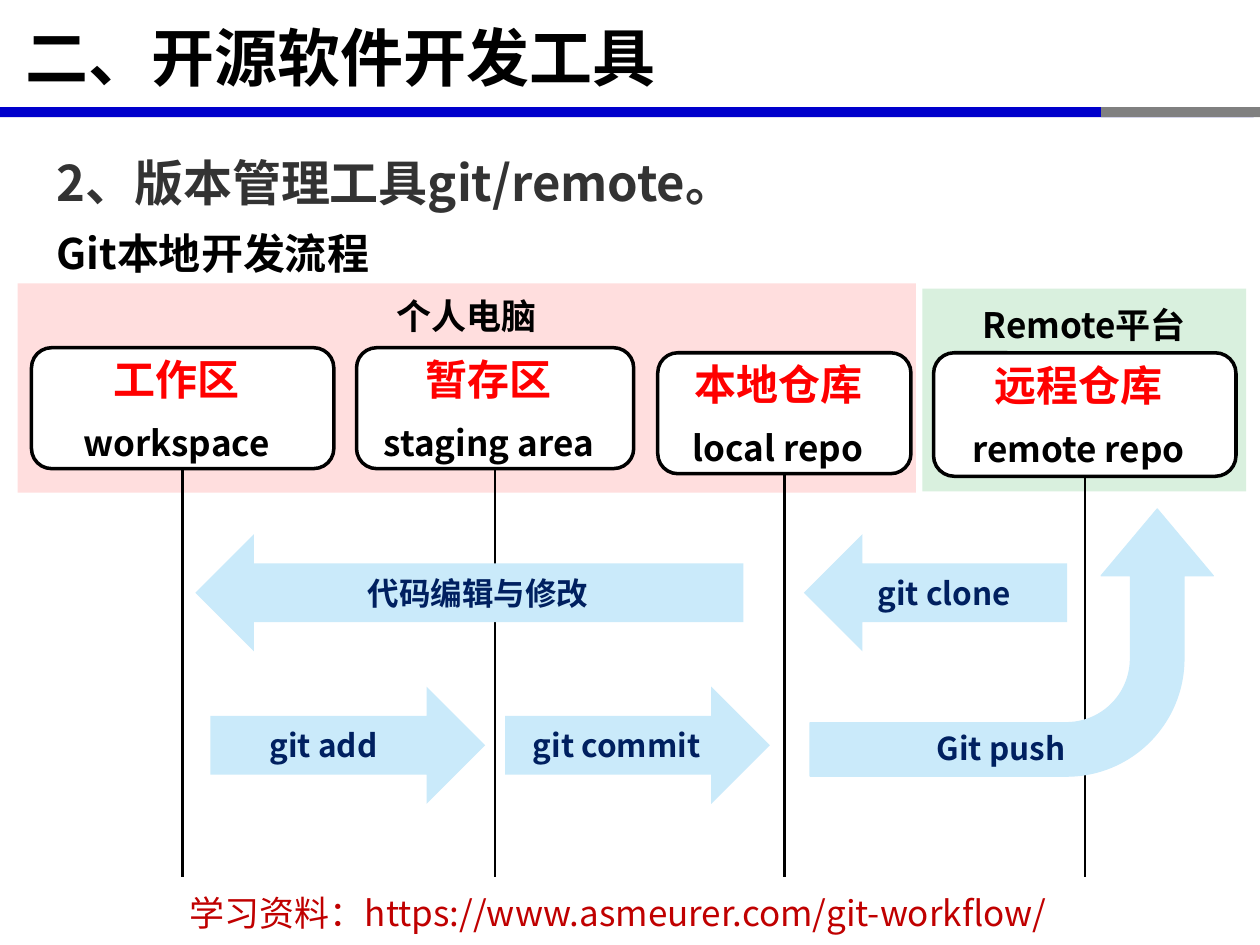
from lxml.etree import SubElement
from pptx import Presentation
from pptx.dml.color import RGBColor
from pptx.enum.shapes import MSO_CONNECTOR, MSO_SHAPE as SHAPE
from pptx.enum.text import MSO_ANCHOR as ANCHOR, PP_ALIGN as ALIGN
from pptx.oxml.ns import qn
from pptx.util import Inches, Pt

FONT = "Noto Sans CJK SC"
C = {
    "blue": "0000CC", "gray": "808080", "pink": "FFCCCC", "green": "C3E8CC",
    "white": "FFFFFF", "black": "000000", "red": "FF0000", "dark": "333333",
    "brick": "C00000", "arrow": "CAEAFA", "navy": "002060",
}

prs = Presentation()
prs.slide_width, prs.slide_height = Inches(10), Inches(7.5)
s = prs.slides.add_slide(prs.slide_layouts[6])


def add_shape(kind, box, fill, line=None, width=2):
    sp = s.shapes.add_shape(kind, *[Inches(v) for v in box])
    sp.shadow.inherit = False
    sp.fill.solid()
    sp.fill.fore_color.rgb = RGBColor.from_string(C[fill])
    if line:
        sp.line.color.rgb = RGBColor.from_string(C[line])
        sp.line.width = Pt(width)
    else:
        sp.line.fill.background()
    return sp


def write(sp, lines, align=ALIGN.CENTER, anchor=ANCHOR.MIDDLE, left=0.1, spacing=None, bold=True):
    tf = sp.text_frame
    tf.word_wrap = True
    tf.vertical_anchor = anchor
    tf.margin_left, tf.margin_right = Inches(left), Inches(0.1)
    tf.margin_top = tf.margin_bottom = Inches(0.05)
    for i, (text, size, color) in enumerate(lines):
        p = tf.add_paragraph() if i else tf.paragraphs[0]
        p.alignment = align
        if i:
            p.space_before = Pt(size / 2)
        if spacing:
            p.line_spacing = spacing
        r = p.add_run()
        r.text = text
        r.font.size, r.font.bold, r.font.name = Pt(size), bold, FONT
        r.font.color.rgb = RGBColor.from_string(C[color])
        SubElement(r.font._element, qn("a:ea"), typeface=FONT)


add_shape(SHAPE.RECTANGLE, (0, 0.85, 9.95, 0.08), "blue")
add_shape(SHAPE.RECTANGLE, (8.74, 0.85, 1.26, 0.08), "gray")

for box, color in [((0.14, 2.25, 7.13, 1.66), "pink"), ((7.32, 2.29, 2.57, 1.61), "green")]:
    sp = add_shape(SHAPE.RECTANGLE, box, color)
    SubElement(sp.fill._xPr.find(qn("a:solidFill"))[0], qn("a:alpha"), val="63000")

stages = [
    ("工作区", "workspace", (0.25, 2.76, 2.4, 0.96)),
    ("暂存区", "staging area", (2.83, 2.76, 2.2, 0.96)),
    ("本地仓库", "local repo", (5.22, 2.8, 2.01, 0.96)),
    ("远程仓库", "remote repo", (7.41, 2.8, 2.4, 0.98)),
]
for name, english, box in stages:
    sp = add_shape(SHAPE.ROUNDED_RECTANGLE, box, "white", "black")
    write(sp, [(name, 24, "red"), (english, 20, "black")], left=0)
    x = Inches(box[0] + box[2] / 2)
    line = s.shapes.add_connector(MSO_CONNECTOR.STRAIGHT, x, Inches(box[1] + box[3]), x, Inches(6.96))
    line.begin_connect(sp, 2)
    line.line.color.rgb = RGBColor.from_string(C["black"])
    line.line.width = Pt(1.5)
    SubElement(line._element.spPr, qn("a:effectLst"))

arrows = [
    ("git clone", SHAPE.LEFT_ARROW, 6.38, 4.24, 2.09),
    ("代码编辑与修改", SHAPE.LEFT_ARROW, 1.55, 4.24, 4.35),
    ("git add ", SHAPE.RIGHT_ARROW, 1.67, 5.45, 2.18),
    ("git commit", SHAPE.RIGHT_ARROW, 4.01, 5.45, 2.1),
]
for text, kind, x, y, w in arrows:
    sp = add_shape(kind, (x, y, w, 0.93), "arrow")
    write(sp, [(text, 18, "navy")], left=0)

push = add_shape(SHAPE.BENT_ARROW, (6.97, 3.5, 2.12, 3.2), "arrow", "arrow", 0.75)
for i, value in enumerate([0.2, 0.21, 0.25, 0.44]):
    push.adjustments[i] = value
push.rotation = 90
push._element.spPr.find(qn("a:xfrm")).set("flipH", "1")

labels = [
    ("二、开源软件开发工具", (0, 0.01, 9.86, 0.87), 36, "black",
     dict(align=ALIGN.LEFT, left=0.2)),
    ("2、版本管理工具git/remote。", (0.35, 0.93, 9.31, 0.72), 28, "dark",
     dict(align=ALIGN.JUSTIFY, anchor=ANCHOR.TOP, spacing=1.5)),
    ("Git本地开发流程", (0.35, 1.56, 5.46, 0.64), 24, "black",
     dict(align=ALIGN.JUSTIFY, anchor=ANCHOR.TOP, spacing=1.5)),
    ("个人电脑", (0.14, 2.29, 7.13, 0.44), 20, "black", dict(anchor=ANCHOR.TOP)),
    ("Remote平台", (7.32, 2.36, 2.57, 0.44), 20, "black", dict(anchor=ANCHOR.TOP)),
    ("Git push", (7.04, 5.74, 1.81, 0.4), 18, "navy", dict(anchor=ANCHOR.TOP)),
    ("学习资料：https://www.asmeurer.com/git-workflow/", (0.52, 7.03, 8.77, 0.44), 20, "brick",
     dict(anchor=ANCHOR.TOP, bold=False)),
]
for text, box, size, color, style in labels:
    sp = s.shapes.add_textbox(*[Inches(v) for v in box])
    write(sp, [(text, size, color)], **style)

prs.save("out.pptx")
